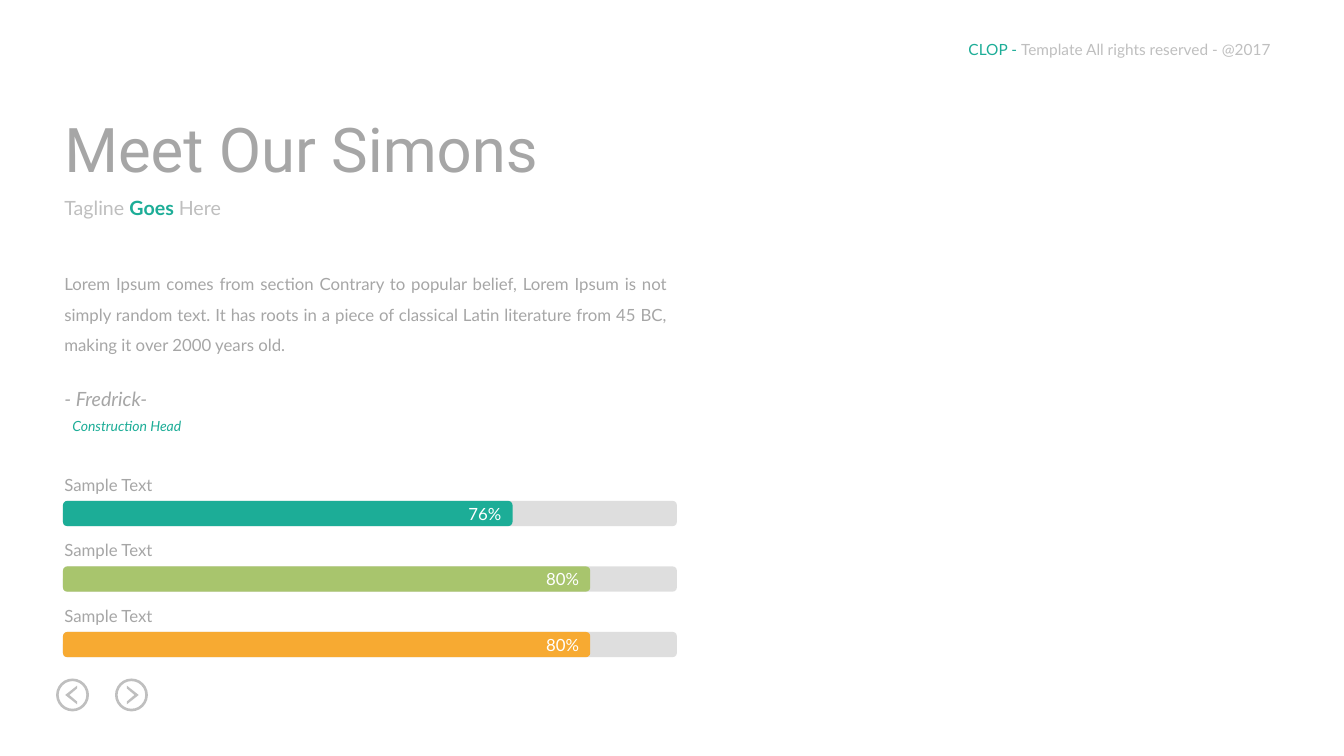
from lxml import etree
from pptx import Presentation
from pptx.dml.color import RGBColor
from pptx.enum.shapes import MSO_SHAPE
from pptx.enum.text import MSO_ANCHOR, MSO_AUTO_SIZE, PP_ALIGN
from pptx.oxml.ns import qn
from pptx.util import Pt

ROUNDED, DONUT = MSO_SHAPE.ROUNDED_RECTANGLE, MSO_SHAPE.DONUT
JUSTIFY, RIGHT = PP_ALIGN.JUSTIFY, PP_ALIGN.RIGHT
MIDDLE = MSO_ANCHOR.MIDDLE
FIT_SHAPE = MSO_AUTO_SIZE.SHAPE_TO_FIT_TEXT

TEAL, GREEN, ORANGE = "1CAD97", "A8C56D", "F7AA32"
GRAY, LIGHT_GRAY, WHITE = "A6A6A6", "BFBFBF", "FFFFFF"

TEXT_LEFT = 38.9
BODY = (
    "Lorem Ipsum comes from section Contrary to popular belief, Lorem Ipsum is not "
    "simply random text. It has roots in a piece of classical Latin literature from "
    "45 BC, making it over 2000 years old."
)

# (left, top, width, height), size, font, italic, runs of (text, colour, bold)
LINES = [
    ((684.7, 25.2, 234.7, 20.9), 11, "Lato", False,
     [("CLOP - ", TEAL, False),
      ("Template All rights reserved - @2017", LIGHT_GRAY, False)]),
    ((TEXT_LEFT, 75.6, 355.7, 60.5), 44, "Roboto", False,
     [("Meet Our Simons", GRAY, False)]),
    ((TEXT_LEFT, 136.1, 129.6, 24.5), 14, "Lato", False,
     [("Tagline ", LIGHT_GRAY, False), ("Goes ", TEAL, True),
      ("Here", LIGHT_GRAY, False)]),
    ((TEXT_LEFT, 272.9, 75.6, 24.5), 14, "Lato", True,
     [("- Fredrick-", GRAY, False)]),
    ((44.6, 294.5, 93.6, 19.4), 10, "Lato", True,
     [("Construction Head", TEAL, False)]),
]

# label, value, bar width, colour
SKILLS = [
    ("Sample Text", "76%", 321.1, TEAL),
    ("Sample Text", "80%", 376.6, GREEN),
    ("Sample Text", "80%", 376.6, ORANGE),
]
BAR_LEFT, BAR_TOP, BAR_HEIGHT, BAR_PITCH = 45, 357.8, 18, 46.8
TRACK_WIDTH, LABEL_RISE = 438.5, 22.3

# centre x, direction of the arrow
BUTTONS = [(51.8, -1), (93.9, 1)]
BUTTON_Y, BUTTON_SIZE = 496.4, 23.5
CHEVRON = [(-3.3, -4.7), (2.2, 0), (-3.3, 4.7), (-3.3, 6.7), (5.2, 0), (-3.3, -6.7)]


def rgb(colour):
    return RGBColor.from_string(colour)


def paint(shape, colour):
    shape.shadow.inherit = False
    shape.fill.solid()
    shape.fill.fore_color.rgb = rgb(colour)
    shape.line.fill.background()


def add_filled(slide, kind, box, colour):
    shape = slide.shapes.add_shape(kind, *map(Pt, box))
    paint(shape, colour)
    return shape


def add_text(slide, box, size, font, italic, runs, wrap=False):
    """Add a one-paragraph text box and return its paragraph."""
    frame = slide.shapes.add_textbox(*map(Pt, box)).text_frame
    frame.word_wrap = wrap
    frame.auto_size = FIT_SHAPE
    paragraph = frame.paragraphs[0]
    for text, colour, bold in runs:
        run = paragraph.add_run()
        run.text = text
        run.font.color.rgb = rgb(colour)
        run.font.bold = bold
    paragraph.font.size = Pt(size)
    paragraph.font.name = font
    paragraph.font.italic = italic
    return paragraph


def add_skill(slide, row, label, value, width, colour):
    """Add a label, the half-transparent track and the bar with its value."""
    top = BAR_TOP + row * BAR_PITCH
    track = add_filled(slide, ROUNDED, (BAR_LEFT, top, TRACK_WIDTH, BAR_HEIGHT), LIGHT_GRAY)
    track_colour = track.fill._xPr.find(".//" + qn("a:srgbClr"))
    etree.SubElement(track_colour, qn("a:alpha"), val="50000")

    bar = add_filled(slide, ROUNDED, (BAR_LEFT, top, width, BAR_HEIGHT), colour)
    frame = bar.text_frame
    frame.margin_top = frame.margin_bottom = 0
    frame.vertical_anchor = MIDDLE
    paragraph = frame.paragraphs[0]
    paragraph.text = value
    paragraph.alignment = RIGHT
    paragraph.font.size = Pt(12)
    paragraph.font.name = "Lato"
    paragraph.font.color.rgb = rgb(WHITE)

    add_text(slide, (TEXT_LEFT, top - LABEL_RISE, 80.6, 21.6), 12, "Lato", False,
             [(label, GRAY, False)])


def add_button(slide, center_x, direction):
    """Add a ring with a chevron that points left (-1) or right (1)."""
    radius = BUTTON_SIZE / 2
    ring = add_filled(slide, DONUT, (center_x - radius, BUTTON_Y - radius,
                                     BUTTON_SIZE, BUTTON_SIZE), LIGHT_GRAY)
    ring.adjustments[0] = 0.08
    points = [(Pt(center_x + direction * x), Pt(BUTTON_Y + y)) for x, y in CHEVRON]
    builder = slide.shapes.build_freeform(*points[0])
    builder.add_line_segments(points[1:], close=True)
    paint(builder.convert_to_shape(), LIGHT_GRAY)


def main():
    presentation = Presentation()
    presentation.slide_width, presentation.slide_height = Pt(960), Pt(540)
    slide = presentation.slides.add_slide(presentation.slide_layouts[6])

    for center_x, direction in BUTTONS:
        add_button(slide, center_x, direction)
    for line in LINES:
        add_text(slide, *line)
    body = add_text(slide, (TEXT_LEFT, 185, 445, 69.8), 12, "Lato", False,
                    [(BODY, GRAY, False)], wrap=True)
    body.alignment = JUSTIFY
    body.line_spacing = 1.5
    for row, skill in enumerate(SKILLS):
        add_skill(slide, row, *skill)

    presentation.save("out.pptx")


if __name__ == "__main__":
    main()
